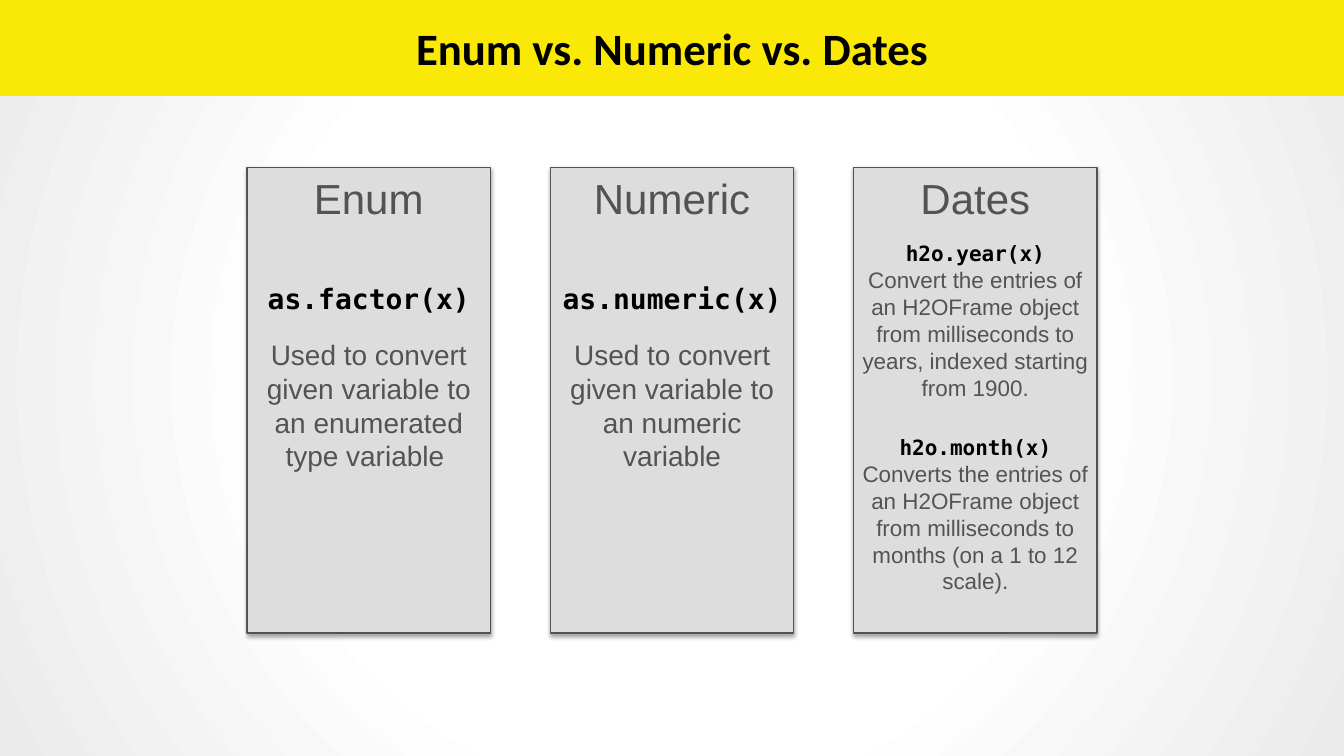
import pptx
import pptx.dml.color
import pptx.enum.shapes
import pptx.enum.text
import pptx.oxml
import pptx.oxml.ns
import pptx.util

Pt = pptx.util.Pt
RGBColor = pptx.dml.color.RGBColor
PP_ALIGN = pptx.enum.text.PP_ALIGN
MSO_ANCHOR = pptx.enum.text.MSO_ANCHOR
RECTANGLE = pptx.enum.shapes.MSO_SHAPE.RECTANGLE

YELLOW = RGBColor(0xFA, 0xE8, 0x07)
BLACK = RGBColor(0x00, 0x00, 0x00)
DARK_GRAY = RGBColor(0x53, 0x53, 0x53)
LIGHT_GRAY = RGBColor(0xDD, 0xDD, 0xDD)

HEADING = {"name": "Arial", "size": Pt(60), "bold": False, "color": DARK_GRAY}
CODE = {"name": "DejaVu Sans Mono", "size": Pt(40), "bold": True, "color": BLACK}
BODY = {"name": "Arial", "size": Pt(40), "bold": False, "color": DARK_GRAY}
SMALL_CODE = CODE | {"size": Pt(30)}
SMALL_BODY = BODY | {"size": Pt(32)}
TITLE = {"name": "Calibri", "size": Pt(64), "bold": True, "color": BLACK}

GRADIENT = f"""<a:gradFill {pptx.oxml.ns.nsdecls('a')} rotWithShape="1"><a:gsLst>
<a:gs pos="0"><a:srgbClr val="FFFFFF"/></a:gs>
<a:gs pos="50000"><a:srgbClr val="FFFFFF"/></a:gs>
<a:gs pos="100000"><a:srgbClr val="EBEBEB"/></a:gs></a:gsLst>
<a:path path="circle"><a:fillToRect l="50000" t="50000" r="50000" b="50000"/></a:path>
</a:gradFill>"""
SHADOW = f"""<a:effectLst {pptx.oxml.ns.nsdecls('a')}>
<a:outerShdw blurRad="{Pt(6)}" dist="{Pt(3)}" dir="5400000" rotWithShape="0">
<a:srgbClr val="000000"><a:alpha val="35000"/></a:srgbClr></a:outerShdw></a:effectLst>"""


def add_centered_run(paragraph, text, formats):
    paragraph.alignment = PP_ALIGN.CENTER
    run = paragraph.add_run()
    run.text = text
    for name, value in formats.items():
        if name == "color":
            run.font.color.rgb = value
        else:
            setattr(run.font, name, value)


def format_frame(frame, anchor):
    settings = {"word_wrap": True, "vertical_anchor": anchor,
                "auto_size": pptx.enum.text.MSO_AUTO_SIZE.NONE}
    settings |= {f"margin_{side}": Pt(7.2) for side in ("left", "top", "right", "bottom")}
    for name, value in settings.items():
        setattr(frame, name, value)


presentation = pptx.Presentation()
presentation.slide_width, presentation.slide_height = Pt(1920), Pt(1080)
slide = presentation.slides.add_slide(presentation.slide_layouts[5])

# Background: white centre fading to gray
slide.background.fill.gradient()
default_gradient = slide.element.find(".//" + pptx.oxml.ns.qn("a:gradFill"))
default_gradient.getparent().replace(default_gradient, pptx.oxml.parse_xml(GRADIENT))

# Title on a yellow band
band = slide.shapes.add_shape(RECTANGLE, Pt(0), Pt(0), Pt(1920), Pt(137))
band.shadow.inherit = False
band.fill.solid()
band.fill.fore_color.rgb = YELLOW
band.line.fill.background()
title = slide.shapes.title
title.element.addprevious(band.element)
title.left, title.top, title.width, title.height = Pt(312), Pt(-1), Pt(1296), Pt(139)
format_frame(title.text_frame, MSO_ANCHOR.MIDDLE)
add_centered_run(title.text_frame.paragraphs[0], "Enum vs. Numeric vs. Dates", TITLE)

# Cards: heading, then blocks of (top, height, code, code format, text, text format, gap)
cards = [
    ("Enum", [(394.5, 300, "as.factor(x)", CODE,
               "Used to convert given variable to an enumerated type variable ", BODY, 33)]),
    ("Numeric", [(394.5, 300, "as.numeric(x)", CODE,
                  "Used to convert given variable to an numeric variable", BODY, 33)]),
    ("Dates", [(337, 240, "h2o.year(x)", SMALL_CODE,
                "Convert the entries of an H2OFrame object from milliseconds to years, "
                "indexed starting from 1900.", SMALL_BODY, 0),
               (614, 240, "h2o.month(x)", SMALL_CODE,
                "Converts the entries of an H2OFrame object from milliseconds to months "
                "(on a 1 to 12 scale).", SMALL_BODY, 0)]),
]
CARD_LEFT, CARD_STEP, CARD_WIDTH = 353, 433.3, 347.5

for index, (heading, blocks) in enumerate(cards):
    left = Pt(CARD_LEFT + index * CARD_STEP)
    card = slide.shapes.add_shape(RECTANGLE, left, Pt(239.5), Pt(CARD_WIDTH), Pt(665))
    card.fill.solid()
    card.fill.fore_color.rgb = LIGHT_GRAY
    card.line.color.rgb = DARK_GRAY
    card.line.width = Pt(2)
    card.element.spPr.append(pptx.oxml.parse_xml(SHADOW))

    heading_box = slide.shapes.add_textbox(left, Pt(239), Pt(CARD_WIDTH), Pt(86))
    format_frame(heading_box.text_frame, MSO_ANCHOR.TOP)
    add_centered_run(heading_box.text_frame.paragraphs[0], heading, HEADING)

    for top, height, code, code_format, text, text_format, gap in blocks:
        block = slide.shapes.add_textbox(left, Pt(top), Pt(CARD_WIDTH), Pt(height))
        format_frame(block.text_frame, MSO_ANCHOR.TOP)
        add_centered_run(block.text_frame.paragraphs[0], code, code_format)
        description = block.text_frame.add_paragraph()
        description.space_before = Pt(gap)
        add_centered_run(description, text, text_format)

presentation.save("out.pptx")
